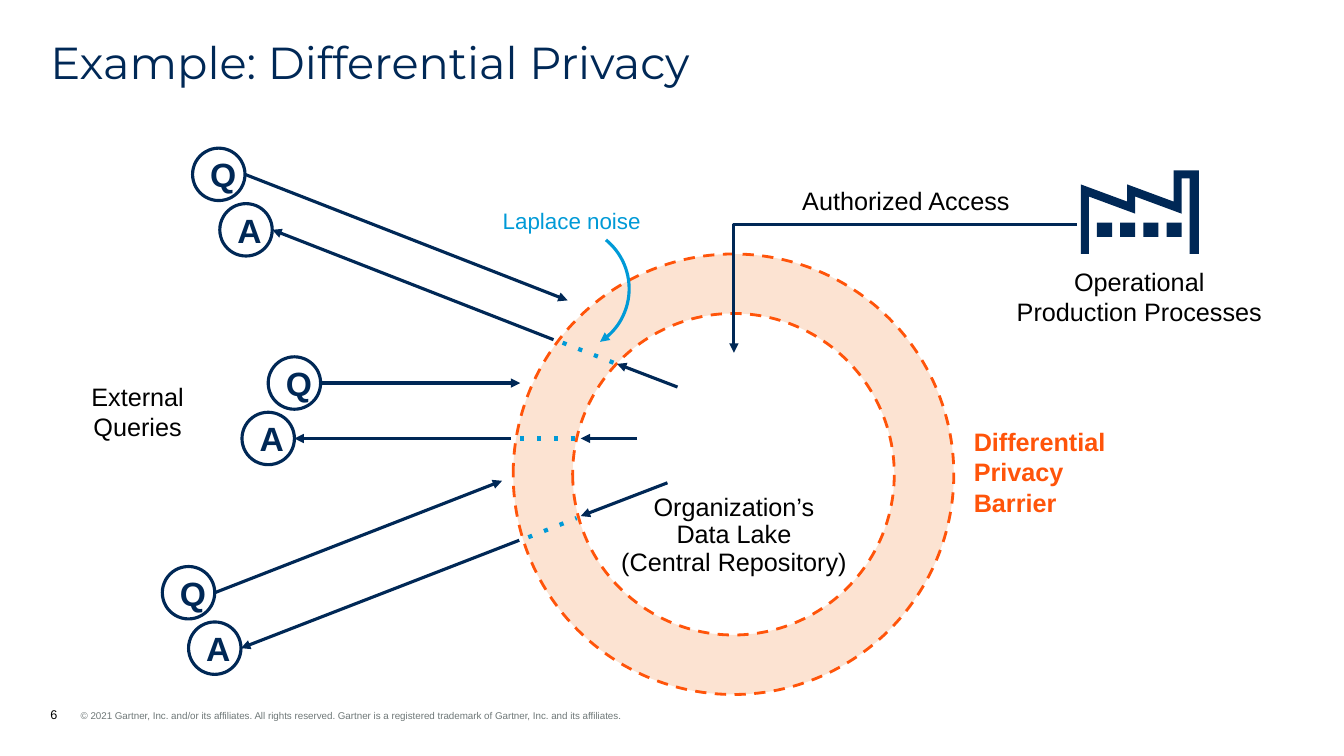
from lxml import etree
from pptx import Presentation
from pptx import util as u
from pptx.dml.color import RGBColor
from pptx.enum import dml, shapes, text
from pptx.oxml.ns import qn

NAVY = RGBColor(0x00, 0x28, 0x56)
BLUE = RGBColor(0x00, 0x9A, 0xD7)
ORANGE = RGBColor(0xFF, 0x54, 0x0A)
PEACH = RGBColor(0xFB, 0xC9, 0xA6)
GREY = RGBColor(0x6F, 0x78, 0x78)
BLACK = RGBColor(0, 0, 0)
WHITE = RGBColor(0xFF, 0xFF, 0xFF)

LEFT, CENTER = text.PP_ALIGN.LEFT, text.PP_ALIGN.CENTER
LABEL_INSETS = (0, 0.05, 0, 0.05)
BUBBLE = 0.52


class Diagram:
    """Draws the elements of one slide in a common style."""

    def __init__(self, slide, font="Arial"):
        self.shapes = slide.shapes
        self.font = font

    def inches(self, values):
        return [u.Inches(value) for value in values]

    def run(self, paragraph, words, size, color, bold=False, font=None):
        run = paragraph.add_run()
        run.text = words
        run.font.name = font or self.font
        run.font.size = u.Pt(size)
        run.font.bold = bold
        run.font.color.rgb = color

    def frame(self, shape, insets, anchor=text.MSO_ANCHOR.TOP):
        frame = shape.text_frame
        frame.word_wrap = True
        frame.vertical_anchor = anchor
        (frame.margin_left, frame.margin_top,
         frame.margin_right, frame.margin_bottom) = self.inches(insets)
        return frame

    def label(self, box, paragraphs, size=18, color=BLACK, bold=False, font=None,
              align=CENTER, spacing=1.0, insets=LABEL_INSETS):
        frame = self.frame(self.shapes.add_textbox(*self.inches(box)), insets)
        for index, lines in enumerate(paragraphs):
            paragraph = frame.add_paragraph() if index else frame.paragraphs[0]
            paragraph.alignment = align
            paragraph.line_spacing = spacing
            for number, line in enumerate(lines.split("\n")):
                if number:
                    paragraph.add_line_break()
                self.run(paragraph, line, size, color, bold, font)

    def footer(self, box, number, notice):
        frame = self.frame(self.shapes.add_textbox(*self.inches(box)), (0, 0, 0, 0),
                           text.MSO_ANCHOR.BOTTOM)
        paragraph = frame.paragraphs[0]
        indent = u.Inches(0.3)
        properties = paragraph._p.get_or_add_pPr()
        properties.set("marL", str(indent))
        properties.set("indent", str(-indent))
        self.run(paragraph, number, 9, BLACK)
        self.run(paragraph, "\t" + notice, 7, GREY)

    def stroke(self, shape, color, width, dash=None, arrow=False):
        shape.line.color.rgb = color
        shape.line.width = u.Pt(width)
        outline = shape.element.spPr.find(qn("a:ln"))
        if dash:
            shape.line.dash_style = dml.MSO_LINE.DASH
            outline.find(qn("a:prstDash")).set("val", dash)
        if arrow:
            etree.SubElement(outline, qn("a:tailEnd")).set("type", "triangle")

    def shape(self, kind, box, fill=None, adjust=()):
        shape = self.shapes.add_shape(kind, *self.inches(box))
        shape.shadow.inherit = False
        for index, value in enumerate(adjust):
            shape.adjustments[index] = value
        if fill is None:
            shape.fill.background()
        else:
            shape.fill.solid()
            shape.fill.fore_color.rgb = fill
        return shape

    def barrier(self, box):
        ring = self.shape(shapes.MSO_SHAPE.DONUT, box, PEACH, [0.135])
        color = ring.element.spPr.find(qn("a:solidFill"))[0]
        etree.SubElement(color, qn("a:alpha")).set("val", "50000")
        self.stroke(ring, ORANGE, 2, "dash")

    def bubble(self, corner, letter):
        circle = self.shape(shapes.MSO_SHAPE.OVAL, (*corner, BUBBLE, BUBBLE), WHITE)
        self.stroke(circle, NAVY, 2.25)
        frame = self.frame(circle, (0.1, 0.05, 0.1, 0.05), text.MSO_ANCHOR.MIDDLE)
        frame.paragraphs[0].alignment = CENTER
        self.run(frame.paragraphs[0], letter, 24, NAVY, bold=True)
        return corner[0] + BUBBLE, corner[1] + BUBBLE / 2

    def line(self, start, end, color=NAVY, width=2.25, dash=None, arrow=True, bent=False):
        kind = shapes.MSO_CONNECTOR.ELBOW if bent else shapes.MSO_CONNECTOR.STRAIGHT
        line = self.shapes.add_connector(kind, *self.inches((*start, *end)))
        if bent:
            line.element.spPr.find(qn("a:prstGeom")).set("prst", "bentConnector2")
        self.stroke(line, color, width, dash, arrow)
        etree.SubElement(line.element.spPr, qn("a:effectLst"))

    def outline(self, contours, color):
        builder = None
        for contour in contours:
            first, *rest = [self.inches(point) for point in contour]
            if builder is None:
                builder = self.shapes.build_freeform(*first)
            else:
                builder.move_to(*first)
            builder.add_line_segments(rest, close=True)
        shape = builder.convert_to_shape()
        shape.shadow.inherit = False
        shape.fill.solid()
        shape.fill.fore_color.rgb = color
        shape.line.fill.background()

    def exchange(self, question, asked, answer, leaves, noise, inner):
        """A question reaching the barrier and its answer coming back with noise."""
        self.line(self.bubble(question, "Q"), asked)
        self.line(leaves, self.bubble(answer, "A"))
        self.line(*inner)
        self.line(*noise, color=BLUE, width=3, dash="dot", arrow=False)


def main():
    deck = Presentation()
    deck.slide_width, deck.slide_height = u.Inches(13.33), u.Inches(7.5)
    diagram = Diagram(deck.slides.add_slide(deck.slide_layouts[6]))

    # Footer and title
    diagram.footer((0.5, 7.01, 7.85, 0.15), "6",
                   "© 2021 Gartner, Inc. and/or its affiliates. All rights reserved. "
                   "Gartner is a registered trademark of Gartner, Inc. and its affiliates.")
    diagram.label((0.5, 0.4, 12.33, 0.48), ["Example: Differential Privacy"], 32, NAVY,
                  font="Montserrat", align=LEFT, spacing=0.9, insets=(0, 0, 0, 0))

    # Barrier around the data lake
    diagram.barrier((5.09, 2.52, 4.37, 4.37))
    diagram.label((5.71, 4.86, 3.14, 0.92),
                  ["Organization’s\nData Lake", "(Central Repository)"], spacing=0.9)
    diagram.label((9.56, 4.23, 1.62, 0.91), ["Differential Privacy Barrier"], color=ORANGE,
                  bold=True, align=LEFT, insets=(0.1, 0, 0, 0))

    # Authorized access from the factory
    diagram.line((10.68, 2.23), (7.28, 3.5), bent=True)
    diagram.label((7.53, 1.79, 2.91, 0.4), ["Authorized Access"])
    windows = [[(x, 2.21), (x + 0.15, 2.21), (x + 0.15, 2.35), (x, 2.35)]
               for x in (10.88 + 0.23 * step for step in range(4))]
    walls = [(11.89, 1.69), (11.64, 1.69), (11.64, 2), (11.18, 1.83), (11.18, 2),
             (10.72, 1.83), (10.72, 2.52), (10.8, 2.52), (10.8, 1.95), (11.26, 2.12),
             (11.26, 1.95), (11.72, 2.12), (11.72, 1.77), (11.8, 1.77), (11.8, 2.52),
             (11.89, 2.52)]
    diagram.outline([*windows, walls], NAVY)
    diagram.label((10.02, 2.59, 2.56, 0.71), ["Operational\nProduction Processes"])

    # External queries, from the bottom, top and middle
    diagram.label((0.76, 3.73, 1.21, 0.71), ["External Queries"])
    diagram.exchange((1.61, 5.62), (4.98, 4.77), (1.87, 6.17), (5.15, 5.36),
                     noise=((5.24, 5.33), (5.72, 5.14)), inner=((6.62, 4.79), (5.76, 5.12)))
    diagram.exchange((1.91, 1.47), (5.63, 2.98), (2.18, 2.02), (5.49, 3.37),
                     noise=((5.58, 3.4), (6.09, 3.6)), inner=((6.72, 3.84), (6.12, 3.61)))
    diagram.exchange((2.66, 3.54), (5.16, 3.8), (2.4, 4.09), (5.07, 4.35),
                     noise=((5.16, 4.35), (5.73, 4.35)), inner=((6.32, 4.35), (5.76, 4.35)))

    # Noise callout
    diagram.label((4.41, 2.01, 2.52, 0.37), ["Laplace noise"], 16, BLUE)
    sweep = diagram.shape(shapes.MSO_SHAPE.ARC, (4.99, 2.24, 1.25, 1.25),
                          adjust=[190.37, 39.33])
    sweep.rotation = 351.9
    diagram.stroke(sweep, BLUE, 2.25, arrow=True)

    deck.save("out.pptx")


if __name__ == "__main__":
    main()
